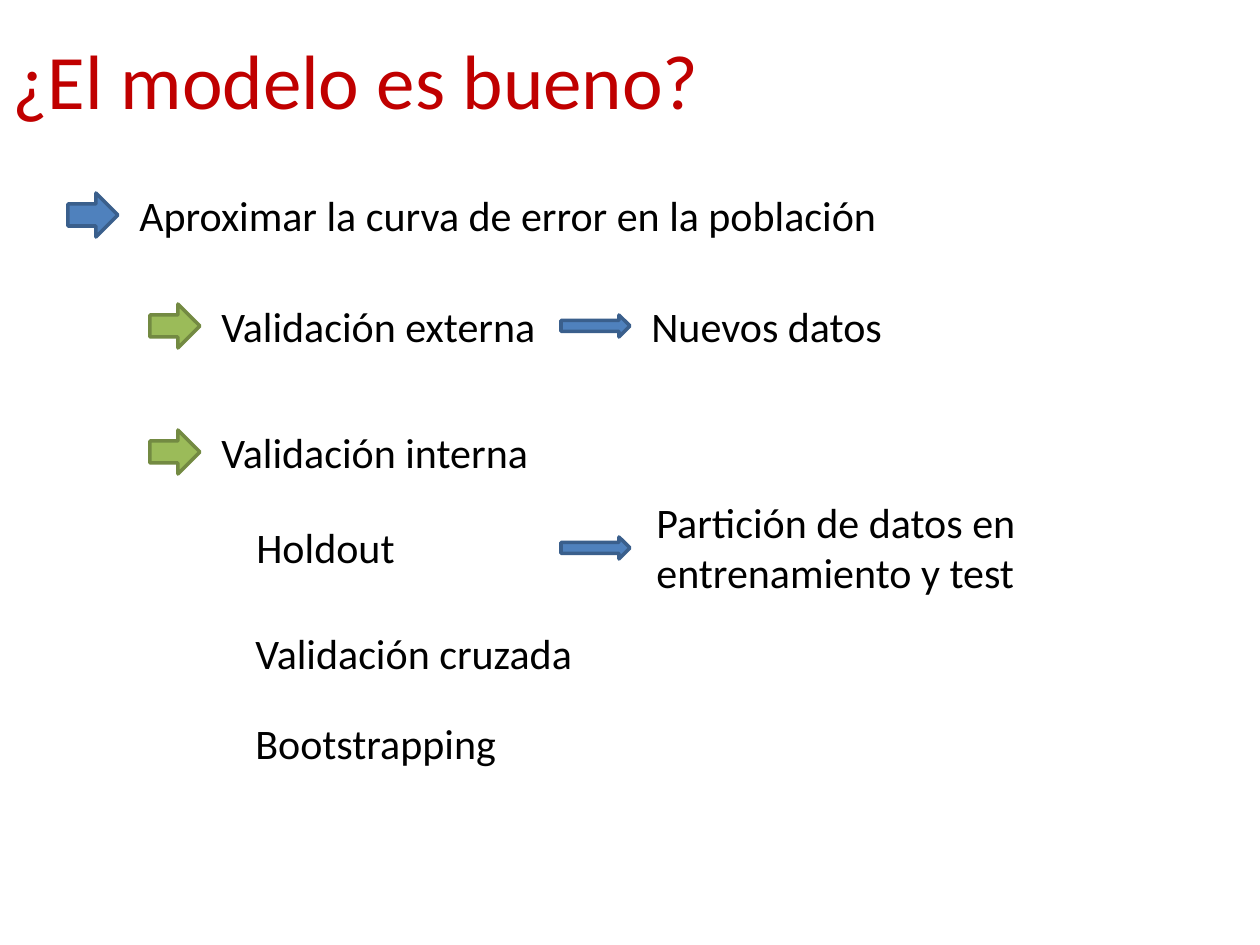
"""Builds the slide on validating a model as out.pptx."""
from dataclasses import dataclass

from pptx import Presentation
from pptx.dml.color import RGBColor
from pptx.enum.shapes import MSO_SHAPE
from pptx.enum.text import MSO_AUTO_SIZE
from pptx.util import Pt

RIGHT_ARROW = MSO_SHAPE.RIGHT_ARROW
FIT_SHAPE = MSO_AUTO_SIZE.SHAPE_TO_FIT_TEXT
PX = 914400 // 126


@dataclass(frozen=True)
class Theme:
    font: str = "Calibri"
    title_size: int = 44
    body_size: int = 24
    line_width: int = 2
    title: str = "C00000"
    text: str = "000000"
    blue: tuple = ("4F81BD", "3A5F8C")
    green: tuple = ("9BBB59", "738A42")


class SlideBuilder:
    def __init__(self, prs, theme):
        self.theme = theme
        self.s = prs.slides.add_slide(prs.slide_layouts[6])

    def text(self, words, box, size=None, color=None):
        tf = self.s.shapes.add_textbox(*(v * PX for v in box)).text_frame
        for name, value in {"word_wrap": True, "auto_size": FIT_SHAPE}.items():
            setattr(tf, name, value)
        r = tf.paragraphs[0].add_run()
        r.text = words
        font = {"name": self.theme.font, "size": Pt(size or self.theme.body_size)}
        for name, value in font.items():
            setattr(r.font, name, value)
        r.font.color.rgb = RGBColor.from_string(color or self.theme.text)

    def arrow(self, box, colors):
        fill, line = map(RGBColor.from_string, colors)
        sp = self.s.shapes.add_shape(RIGHT_ARROW, *(v * PX for v in box))
        sp.shadow.inherit = False
        sp.fill.solid()
        sp.fill.fore_color.rgb = fill
        sp.line.color.rgb = line
        sp.line.width = Pt(self.theme.line_width)

    def bullet(self, words, left, top, width, colors):
        self.text(words, (left, top, width, 63))
        self.arrow((left - 59, top + 10, 50, 44), colors)

    def detail(self, words, box, arrow_top):
        self.text(words, box)
        self.arrow((561, arrow_top, 69, 22), self.theme.blue)


def main():
    prs = Presentation()
    prs.slide_width, prs.slide_height = 1260 * PX, 945 * PX
    theme = Theme()
    b = SlideBuilder(prs, theme)
    b.text("¿El modelo es bueno?", (0, 26, 1260, 106), theme.title_size, theme.title)
    for words, left, top, width, colors in (
        ("Aproximar la curva de error en la población", 127, 183, 1032, theme.blue),
        ("Validación externa", 209, 294, 352, theme.green),
        ("Validación interna", 209, 420, 352, theme.green),
    ):
        b.bullet(words, left, top, width, colors)
    for words, left, top, width in (
        ("Holdout", 244, 515, 217),
        ("Validación cruzada", 243, 621, 352),
        ("Bootstrapping", 243, 711, 352),
    ):
        b.text(words, (left, top, width, 63))
    b.detail("Nuevos datos", (639, 294, 270, 63), 315)
    b.detail("Partición de datos en entrenamiento y test", (644, 490, 447, 115), 537)
    prs.save("out.pptx")


if __name__ == "__main__":
    main()
